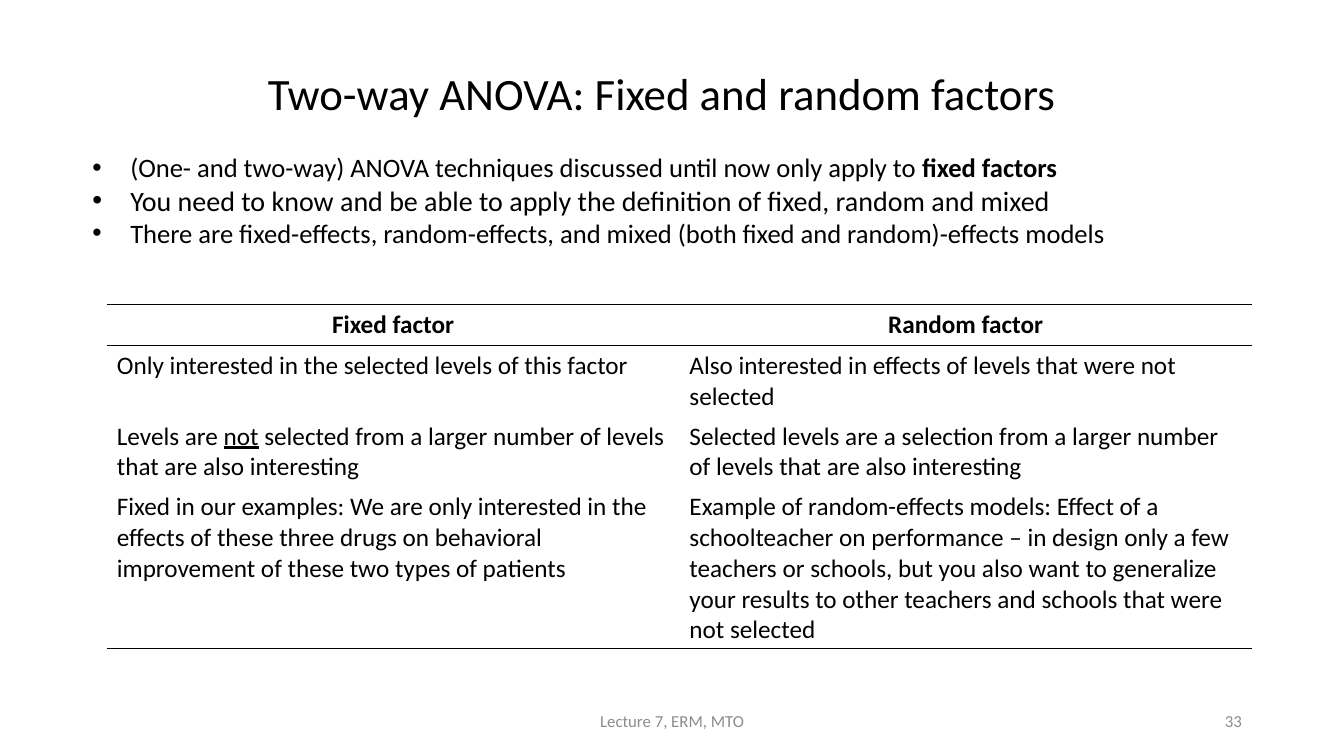
import pptx
import pptx.dml.color
import pptx.enum.text
import pptx.oxml.ns
import pptx.util
from lxml import etree

Pt = pptx.util.Pt
ALIGN = pptx.enum.text.PP_ALIGN
ANCHOR = pptx.enum.text.MSO_ANCHOR

# Content: a run is (text, style), style being "", "b" or "u"
FONT, BLACK, GREY = "Calibri", "000000", "8C8C8C"
TITLE = "Two-way ANOVA: Fixed and random factors"
FOOTER, NUMBER = "Lecture 7, ERM, MTO", "33"

BULLETS = [  # (size, runs)
    (19, [("(One- and two-way) ANOVA techniques discussed until now only apply to ", ""),
          ("fixed factors", "b")]),
    (20, [("You need to know and be able to apply the definition of fixed, random and mixed", "")]),
    (19, [("There are fixed-effects, random-effects, and mixed "
           "(both fixed and random)-effects models", "")]),
]

FACTORS = [
    ([("Fixed factor", "b")], [("Random factor", "b")]),
    ([("Only interested in the selected levels of this factor", "")],
     [("Also interested in effects of levels that were not selected", "")]),
    ([("Levels are ", ""), ("not", "u"),
      (" selected from a larger number of levels that are also interesting", "")],
     [("Selected levels are a selection from a larger number of levels "
       "that are also interesting", "")]),
    ([("Fixed in our examples: We are only interested in the effects of these three drugs "
       "on behavioral improvement of these two types of patients", "")],
     [("Example of random-effects models: Effect of a schoolteacher on performance – "
       "in design only a few teachers or schools, but you also want to generalize your "
       "results to other teachers and schools that were not selected", "")]),
]

# Layout in points
TITLE_AREA = (51.1, 38.9, 843.1, 59.8)
FOOTER_AREA = (318.2, 500.4, 324, 28.8)
NUMBER_AREA = (678.2, 500.4, 216, 28.8)
BULLET_AREA = (59, 104.4, 851.8, 100.8)
TABLE_LEFT, TABLE_TOP, COLUMN_WIDTH = 76.3, 217.4, 409
ROW_HEIGHTS = [29.2, 50.6, 50.6, 115]
BULLET_INDENT = 27


def color(hex_text):
    return pptx.dml.color.RGBColor.from_string(hex_text)


def add_child(parent, tag, **attributes):
    return etree.SubElement(parent, pptx.oxml.ns.qn(tag), **attributes)


def write(para, runs, size, ink=BLACK, align=ALIGN.LEFT):
    para.alignment = align
    for text, style in runs:
        span = para.add_run()
        span.text = text
        span.font.name, span.font.size = FONT, Pt(size)
        span.font.color.rgb = color(ink)
        span.font.bold = style == "b"
        span.font.underline = style == "u"


def add_frame(page, area, anchor):
    box = page.shapes.add_textbox(*map(Pt, area))
    frame = box.text_frame
    frame.word_wrap = True
    frame.vertical_anchor = anchor
    return frame


def add_bullet(para):
    props = para._p.get_or_add_pPr()
    props.set("marL", str(Pt(BULLET_INDENT)))
    props.set("indent", str(-Pt(BULLET_INDENT)))
    add_child(props, "a:buFont", typeface="Arial")
    add_child(props, "a:buChar", char="•")


def set_borders(cell, ruled):
    """Draw a thin black line on the ruled sides and none on the others."""
    props = cell._tc.get_or_add_tcPr()
    for side in "LRTB":
        line = add_child(props, "a:ln" + side, w=str(Pt(1)))
        if side in ruled:
            fill = add_child(line, "a:solidFill")
            add_child(fill, "a:srgbClr", val=BLACK)
        else:
            add_child(line, "a:noFill")


deck = pptx.Presentation()
deck.slide_width, deck.slide_height = Pt(960), Pt(540)
page = deck.slides.add_slide(deck.slide_layouts[6])

# Title, footer and slide number
for text, area, size, ink, align in [
    (TITLE, TITLE_AREA, 32, BLACK, ALIGN.CENTER),
    (FOOTER, FOOTER_AREA, 12, GREY, ALIGN.CENTER),
    (NUMBER, NUMBER_AREA, 12, GREY, ALIGN.RIGHT),
]:
    para = add_frame(page, area, ANCHOR.MIDDLE).paragraphs[0]
    write(para, [(text, "")], size, ink, align)
    if text == TITLE:
        para.line_spacing = 0.9

# Bullets
frame = add_frame(page, BULLET_AREA, ANCHOR.TOP)
for index, (size, runs) in enumerate(BULLETS):
    para = frame.add_paragraph() if index else frame.paragraphs[0]
    write(para, runs, size)
    add_bullet(para)

# Table, ruled above and below the header and at the foot
columns = len(FACTORS[0])
table = page.shapes.add_table(
    len(FACTORS), columns, Pt(TABLE_LEFT), Pt(TABLE_TOP),
    Pt(COLUMN_WIDTH * columns), Pt(sum(ROW_HEIGHTS))).table
table.first_row = table.horz_banding = False
for column in table.columns:
    column.width = Pt(COLUMN_WIDTH)
last = len(FACTORS) - 1
for r, row in enumerate(FACTORS):
    table.rows[r].height = Pt(ROW_HEIGHTS[r])
    ruled = {0: "TB", 1: "T", last: "B"}.get(r, "")
    for c, runs in enumerate(row):
        cell = table.cell(r, c)
        set_borders(cell, ruled)
        cell.fill.background()
        write(cell.text_frame.paragraphs[0], runs, 18,
              align=ALIGN.LEFT if r else ALIGN.CENTER)

deck.save("out.pptx")
